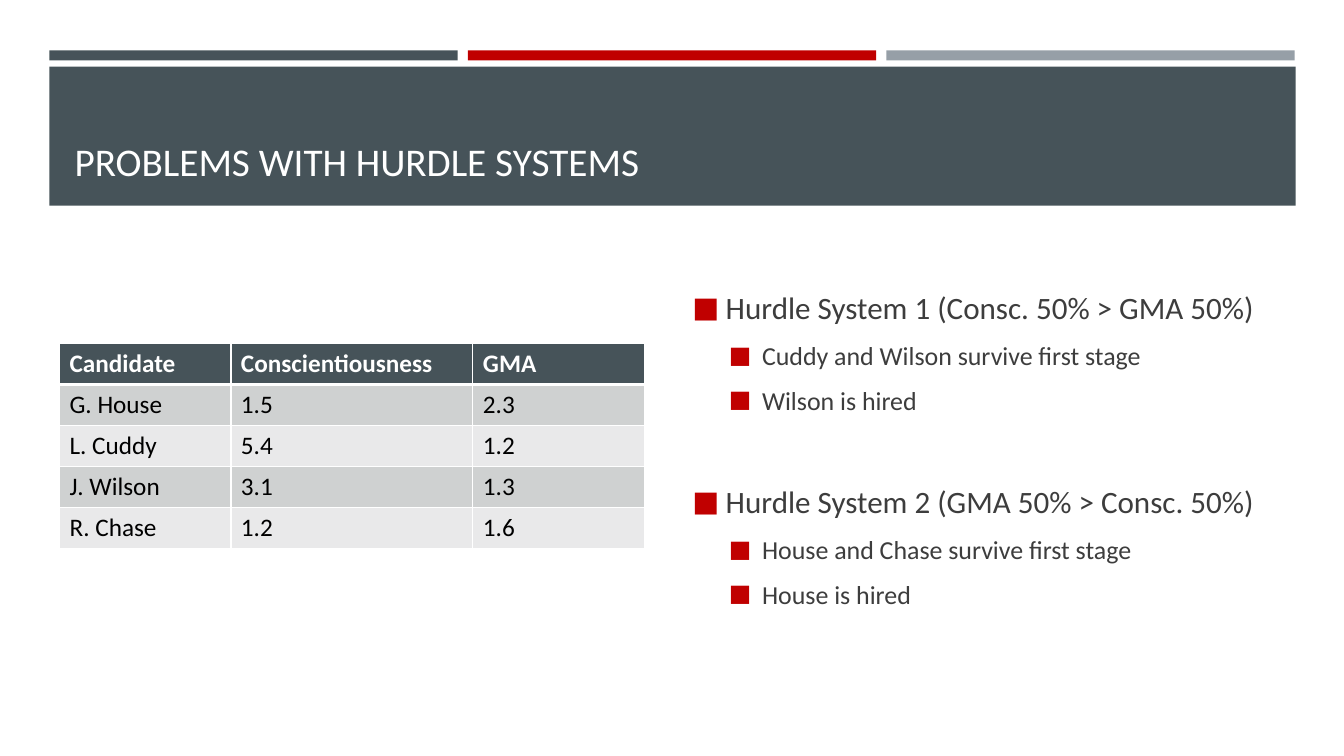
import pptx
import pptx.dml.color
import pptx.enum.shapes
import pptx.enum.text
import pptx.oxml.ns
import pptx.util
from lxml import etree
from pptx.util import Inches

RGBColor = pptx.dml.color.RGBColor
SLATE = RGBColor(0x46, 0x53, 0x59)
RED = RGBColor(0xC0, 0x00, 0x00)
GREY = RGBColor(0x96, 0x9F, 0xA7)
WHITE = RGBColor(0xFF, 0xFF, 0xFF)
BLACK = RGBColor(0x00, 0x00, 0x00)
TEXT_GREY = RGBColor(0x3D, 0x3D, 0x3D)
DARK_BAND = RGBColor(0xCF, 0xD1, 0xD1)
LIGHT_BAND = RGBColor(0xE9, 0xE9, 0xEA)
FONT = "Calibri"

CANDIDATES = [
    ("Candidate", "Conscientiousness", "GMA"),
    ("G. House", "1.5", "2.3"),
    ("L. Cuddy", "5.4", "1.2"),
    ("J. Wilson", "3.1", "1.3"),
    ("R. Chase", "1.2", "1.6"),
]
COLUMN_WIDTHS = (1.7, 2.4, 1.7)
ROW_HEIGHT = 0.406
HURDLE_SYSTEMS = [
    ("Hurdle System 1 (Consc. 50% > GMA 50%)",
     ["Cuddy and Wilson survive first stage", "Wilson is hired"]),
    ("Hurdle System 2 (GMA 50% > Consc. 50%)",
     ["House and Chase survive first stage", "House is hired"]),
]


def style_font(font, size, color, bold=False):
    font.name = FONT
    font.size = pptx.util.Pt(size)
    font.bold = bold
    font.color.rgb = color


def add_bar(slide, left, top, width, height, color):
    bar = slide.shapes.add_shape(
        pptx.enum.shapes.MSO_SHAPE.RECTANGLE,
        Inches(left), Inches(top), Inches(width), Inches(height))
    bar.shadow.inherit = False
    bar.fill.solid()
    bar.fill.fore_color.rgb = color
    bar.line.fill.background()


def add_header(slide):
    for column, color in enumerate((SLATE, RED, GREY)):
        add_bar(slide, 0.49 + 4.15 * column, 0.5, 4.05, 0.1, color)
    add_bar(slide, 0.49, 0.66, 12.36, 1.38, SLATE)

    title = slide.shapes.title
    title.element.getparent().append(title.element)  # bring in front of the band
    title.left, title.top = Inches(0.64), Inches(0.8)
    title.width, title.height = Inches(12.06), Inches(1.08)
    title.text_frame.text = "PROBLEMS WITH HURDLE SYSTEMS"
    title.text_frame.vertical_anchor = pptx.enum.text.MSO_ANCHOR.BOTTOM
    heading = title.text_frame.paragraphs[0]
    heading.alignment = pptx.enum.text.PP_ALIGN.LEFT
    style_font(heading.runs[0].font, 28, WHITE)


def add_borders(cell, widths):
    """Draw white cell borders; widths maps each side to points."""
    properties = cell._tc.get_or_add_tcPr()
    for side in ("L", "R", "T", "B"):
        border = etree.SubElement(
            properties, pptx.oxml.ns.qn(f"a:ln{side}"),
            w=str(pptx.util.Pt(widths.get(side, 1))))
        fill = etree.SubElement(border, pptx.oxml.ns.qn("a:solidFill"))
        etree.SubElement(fill, pptx.oxml.ns.qn("a:srgbClr"), val=str(WHITE))


def add_candidate_table(slide):
    table = slide.shapes.add_table(
        len(CANDIDATES), len(COLUMN_WIDTHS), Inches(0.59), Inches(3.41),
        Inches(sum(COLUMN_WIDTHS)), Inches(ROW_HEIGHT * len(CANDIDATES))).table
    for column, width in zip(table.columns, COLUMN_WIDTHS):
        column.width = Inches(width)
    for row, values in enumerate(CANDIDATES):
        is_header = row == 0
        band = SLATE if is_header else DARK_BAND if row % 2 else LIGHT_BAND
        heavy_side = {0: {"B": 3}, 1: {"T": 3}}.get(row, {})
        for column, value in enumerate(values):
            cell = table.cell(row, column)
            add_borders(cell, heavy_side)
            cell.fill.solid()
            cell.fill.fore_color.rgb = band
            cell.text_frame.text = value
            style_font(cell.text_frame.paragraphs[0].runs[0].font, 18,
                       WHITE if is_header else BLACK, is_header)


def add_square_bullet(paragraph, margin):
    properties = paragraph._p.get_or_add_pPr()
    properties.set("marL", str(Inches(margin)))
    properties.set("indent", str(Inches(-0.33)))
    color = etree.SubElement(properties, pptx.oxml.ns.qn("a:buClr"))
    etree.SubElement(color, pptx.oxml.ns.qn("a:srgbClr"), val=str(RED))
    etree.SubElement(properties, pptx.oxml.ns.qn("a:buSzPct"), val="92000")
    etree.SubElement(properties, pptx.oxml.ns.qn("a:buFont"), typeface=FONT)
    etree.SubElement(properties, pptx.oxml.ns.qn("a:buChar"), char="■")


def add_bullet(paragraph, text, level, space_before):
    paragraph.text = text
    paragraph.level = level
    paragraph.space_before = pptx.util.Pt(space_before)
    paragraph.space_after = pptx.util.Pt(6)
    add_square_bullet(paragraph, 0.69 if level else 0.33)
    style_font(paragraph.runs[0].font, 18.5 if level else 22.2, TEXT_GREY)


def add_hurdle_systems(slide):
    frame = slide.shapes.add_textbox(
        Inches(6.77), Inches(2.44), Inches(5.93), Inches(4.03)).text_frame
    frame.word_wrap = True
    frame.vertical_anchor = pptx.enum.text.MSO_ANCHOR.MIDDLE
    for number, (system, outcomes) in enumerate(HURDLE_SYSTEMS):
        heading = frame.add_paragraph() if number else frame.paragraphs[0]
        add_bullet(heading, system, 0, 42 if number else 0)
        for outcome in outcomes:
            add_bullet(frame.add_paragraph(), outcome, 1, 3.7)


def main():
    presentation = pptx.Presentation()
    presentation.slide_width = Inches(13.33)
    presentation.slide_height = Inches(7.5)
    slide = presentation.slides.add_slide(
        presentation.slide_layouts.get_by_name("Title Only"))
    add_header(slide)
    add_candidate_table(slide)
    add_hurdle_systems(slide)
    presentation.save("out.pptx")


if __name__ == "__main__":
    main()
